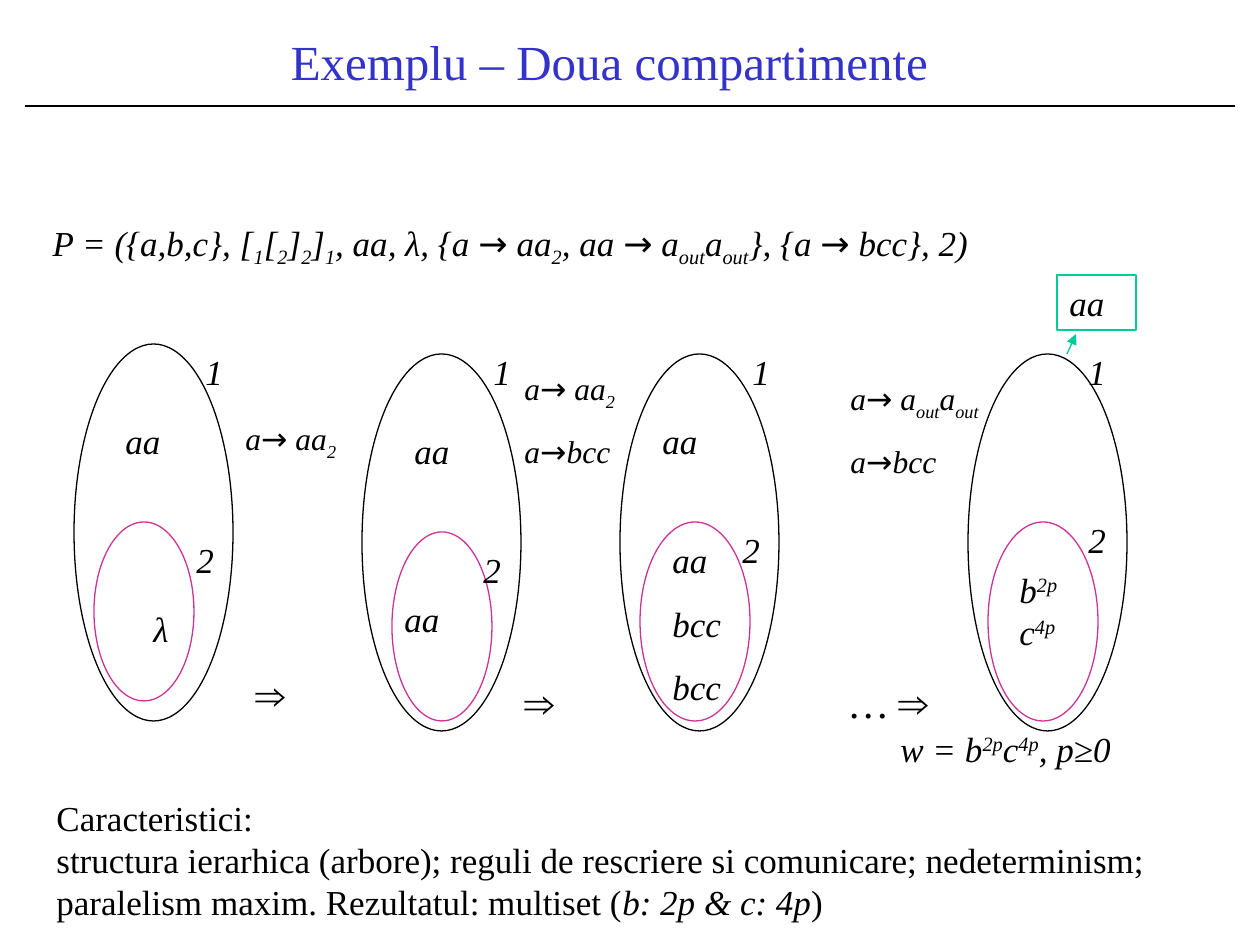
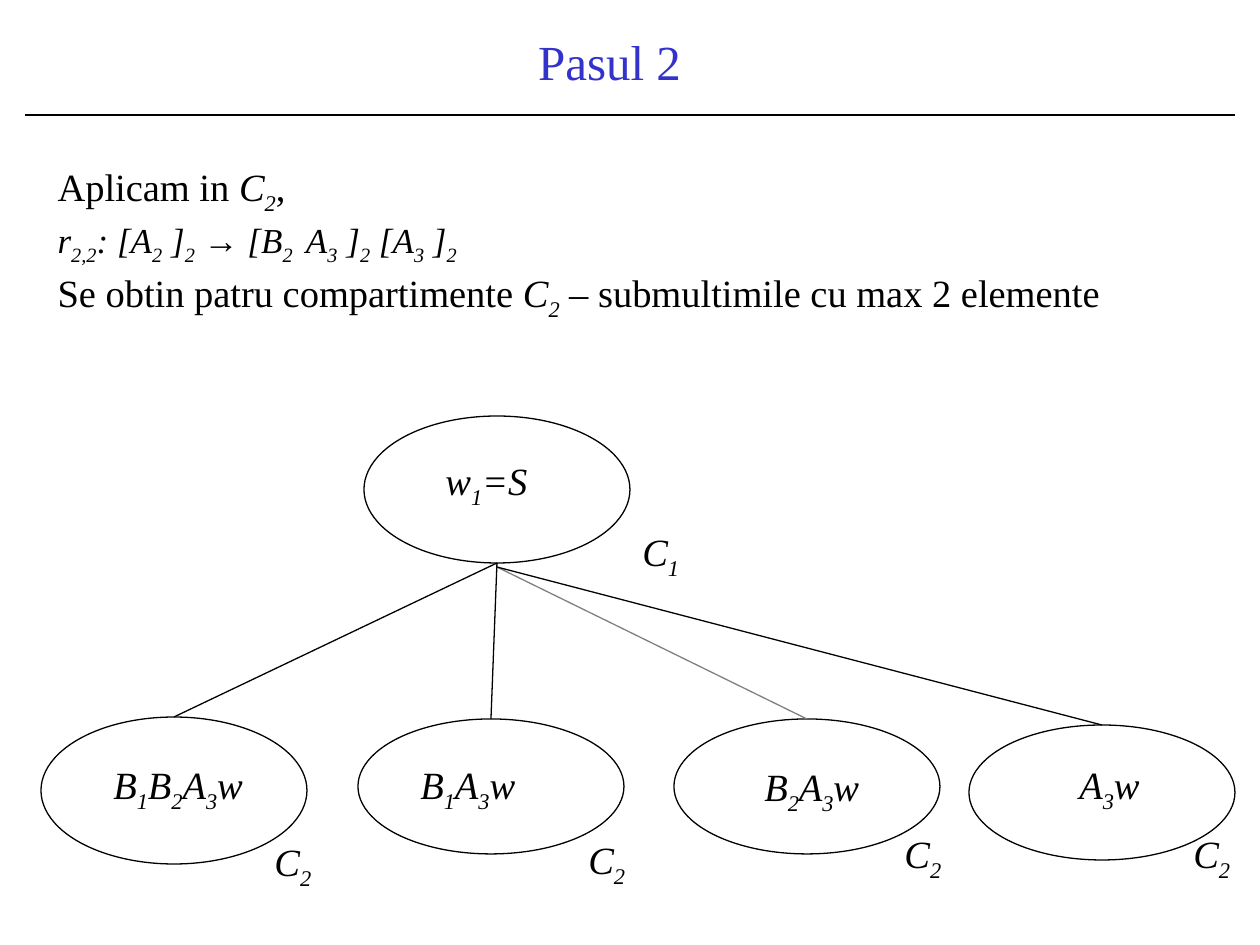
import itertools

import pptx
import pptx.dml.color
import pptx.enum.shapes
import pptx.enum.text
import pptx.oxml
import pptx.oxml.ns
import pptx.util

# ---- Shared style ----
PX = 914400 / 126
FONT = "Times New Roman"
COLORS = {"title": "3333CC", "ink": "000000", "paper": "FFFFFF",
          "inner": "CC3399", "output": "00CC99", "faint": "808080"}
TITLE_BOX = (74, 0, 1071, 121)
RULE_ENDS = (25, 1235)
LINE_WIDTH = 0.75
# Text marks: *italic switch*, ~subscript~, ^superscript^
BASELINES = {"~": "-25000", "^": "30000"}

# ---- Content: two compartments ----
SYSTEM_TITLE = "Exemplu – Doua compartimente"
SYSTEM_RULE_Y = 106
SYSTEM_FONTS = {"→": "Noto Sans", "⇒": "Arial"}
SYSTEM_TABLE = (40, 144, (1159, 57), (129, 72))
SYSTEM_DEFINITION = [
    ("*P = ({a,b,c}, [~1~[~2~]~2~]~1~, aa, λ, {a → aa~2~, aa → a~out~a~out~}, {a → bcc}, 2)*", 20)]
OUTER_SIZE = (159, 377)
MEMBRANES = [  # outer left and top, inner box
    ((74, 344), (94, 522, 100, 179)),
    ((362, 354), (392, 532, 100, 189)),
    ((620, 354), (640, 522, 110, 199)),
    ((968, 354), (988, 522, 110, 199)),
]
SYSTEM_LABELS = [  # box, size, paragraphs
    ((113, 413, 79, 55), 20, ["aa"]),
    ((141, 601, 53, 55), 20, ["λ"]),
    ((193, 344, 49, 55), 20, ["1"]),
    ((184, 532, 49, 55), 20, ["2"]),
    ((481, 344, 49, 55), 20, ["1"]),
    ((740, 344, 49, 55), 20, ["1"]),
    ((471, 542, 49, 55), 20, ["2"]),
    ((402, 423, 79, 55), 20, ["aa"]),
    ((392, 591, 79, 55), 20, ["aa"]),
    ((233, 413, 169, 55), 18, ["a→ aa~2~"]),
    ((243, 662, 100, 63), 24, ["⇒"]),
    ((730, 522, 49, 55), 20, ["2"]),
    ((650, 413, 79, 55), 20, ["aa"]),
    ((660, 532, 79, 183), 20, ["aa", "bcc", "bcc"]),
    ((512, 670, 100, 63), 24, ["⇒"]),
    ((512, 363, 169, 113), 18, ["a→ aa~2~", "a→bcc"]),
    ((1076, 344, 49, 55), 20, ["1"]),
    ((1076, 512, 49, 55), 20, ["2"]),
    ((1007, 562, 69, 97), 20, ["b^2p^c^4p^"]),
    ((838, 373, 169, 113), 18, ["a→ a~out~a~out~", "a→bcc"]),
    ((838, 670, 127, 63), 24, ["… ⇒"]),
    ((888, 721, 287, 55), 20, ["w = b^2p^c^4p^, p≥0"]),
]
OUTPUT_BOX = (1057, 275, 79, 55)
OUTPUT_ARROW = ((1067, 354), (1076, 334))
FEATURES_BOX = (44, 790, 1150, 140)
FEATURES = [
    "Caracteristici:",
    "structura ierarhica (arbore); reguli de rescriere si comunicare; nedeterminism; "
    "paralelism maxim. Rezultatul: multiset (*b: 2p & c: 4p*)",
]

# ---- Content: step 2 ----
STEP_TITLE = "Pasul 2"
STEP_RULE_Y = 115
STEP_TABLE = (45, 139, (1159, 57), (187, 91))
STEP_LINES = [
    ("Aplicam in* C~2~*,", 22),
    ("*r~2,2~: [A~2~ ]~2~ → [B~2 ~ A~3~ ]~2~ [A~3~ ]~2~*", 20),
    ("Se obtin patru compartimente *C~2~* – submultimile cu max 2 elemente", 22),
]
ROOT = (364, 416, 266, 147)
LEAVES = [  # ellipse, line start, line colour
    ((41, 717, 266, 147), (497, 563), "ink"),
    ((358, 719, 266, 135), (497, 563), "ink"),
    ((674, 719, 266, 135), (497, 567), "faint"),
    ((969, 725, 266, 135), (497, 567), "ink"),
]
STEP_LABELS = [
    ((433, 451, 160, 106), 22, ["w~1~=S"]),
    ((630, 522, 77, 59), 22, ["C~1~"]),
    ((101, 755, 223, 59), 22, ["B~1~B~2~A~3~w"]),
    ((408, 755, 179, 59), 22, ["B~1~A~3~w"]),
    ((752, 757, 179, 59), 22, ["B~2~A~3~w"]),
    ((1067, 755, 179, 59), 22, ["A~3~w"]),
    ((262, 832, 77, 59), 22, ["C~2~"]),
    ((576, 830, 77, 59), 22, ["C~2~"]),
    ((892, 824, 77, 59), 22, ["C~2~"]),
    ((1181, 824, 77, 59), 22, ["C~2~"]),
]


# ---- Helpers ----
def px(*lengths):
    return [pptx.util.Emu(round(length * PX)) for length in lengths]


def color(name):
    return pptx.dml.color.RGBColor.from_string(COLORS[name])


def write(paragraph, text, size, italic=False, symbol_fonts=None, ink="ink"):
    """Fill a paragraph with marked text."""
    paragraph.font.name = FONT
    paragraph.font.size = pptx.util.Pt(size)
    paragraph.font.italic = italic
    paragraph.font.color.rgb = color(ink)
    slanted, baseline, styled = italic, None, []
    for letter in text:
        if letter == "*":
            slanted = not slanted
        elif letter in BASELINES:
            baseline = None if baseline else BASELINES[letter]
        else:
            styled.append((letter, slanted, baseline, (symbol_fonts or {}).get(letter)))
    for style, letters in itertools.groupby(styled, key=lambda item: item[1:]):
        run = paragraph.add_run()
        run.text = "".join(item[0] for item in letters)
        slanted, baseline, font_name = style
        if slanted != italic:
            run.font.italic = slanted
        if baseline:
            run._r.get_or_add_rPr().set("baseline", baseline)
        if font_name:
            run.font.name = font_name


def write_box(shape, size, texts, italic=True, symbol_fonts=None, gap=0.625):
    """Write wrapped paragraphs, spaced by a share of the text size."""
    frame = shape.text_frame
    frame.word_wrap = True
    frame.auto_size = pptx.enum.text.MSO_AUTO_SIZE.SHAPE_TO_FIT_TEXT
    frame.vertical_anchor = pptx.enum.text.MSO_ANCHOR.TOP
    for index, text in enumerate(texts):
        paragraph = frame.add_paragraph() if index else frame.paragraphs[0]
        paragraph.alignment = pptx.enum.text.PP_ALIGN.LEFT
        if index and gap:
            paragraph.space_before = pptx.util.Pt(size * gap)
        write(paragraph, text, size, italic, symbol_fonts)


def add_labels(slide, labels, symbol_fonts=None):
    for box, size, texts in labels:
        write_box(slide.shapes.add_textbox(*px(*box)), size, texts, symbol_fonts=symbol_fonts)


def add_outline(slide, kind, box, line="ink", fill=None):
    shape = slide.shapes.add_shape(kind, *px(*box))
    shape.shadow.inherit = False
    shape.line.color.rgb = color(line)
    shape.line.width = pptx.util.Pt(LINE_WIDTH)
    if fill:
        shape.fill.solid()
        shape.fill.fore_color.rgb = color(fill)
    else:
        shape.fill.background()
    return shape


def add_line(slide, start, end, line="ink", arrow=False):
    connector = slide.shapes.add_connector(
        pptx.enum.shapes.MSO_CONNECTOR.STRAIGHT, *px(*start, *end))
    connector.line.color.rgb = color(line)
    connector.line.width = pptx.util.Pt(LINE_WIDTH)
    if arrow:
        head = pptx.oxml.parse_xml(
            f'<a:tailEnd {pptx.oxml.ns.nsdecls("a")} type="triangle"/>')
        connector.line._get_or_add_ln().append(head)
    connector._element.spPr.append(
        pptx.oxml.parse_xml(f'<a:effectLst {pptx.oxml.ns.nsdecls("a")}/>'))
    return connector


def add_text_table(slide, layout, lines, symbol_fonts=None):
    """Add a plain grid whose first cell holds the text."""
    left, top, widths, heights = layout
    table = slide.shapes.add_table(
        len(heights), len(widths), *px(left, top, sum(widths), sum(heights))).table
    table.first_row = table.horz_banding = False
    for column, width in zip(table.columns, px(*widths)):
        column.width = width
    for row, height in zip(table.rows, px(*heights)):
        row.height = height
    for cell in table.iter_cells():
        cell.fill.background()
    cell = table.cell(0, 0)
    cell.vertical_anchor = pptx.enum.text.MSO_ANCHOR.BOTTOM
    for index, (text, size) in enumerate(lines):
        frame = cell.text_frame
        paragraph = frame.add_paragraph() if index else frame.paragraphs[0]
        paragraph.line_spacing = 0.95
        if index:
            paragraph.space_before = pptx.util.Pt(5)
        write(paragraph, text, size, symbol_fonts=symbol_fonts)


def start_slide(presentation, title, rule_y):
    slide = presentation.slides.add_slide(presentation.slide_layouts[5])
    shape = slide.shapes.title
    shape.left, shape.top, shape.width, shape.height = px(*TITLE_BOX)
    shape.text_frame.vertical_anchor = pptx.enum.text.MSO_ANCHOR.MIDDLE
    paragraph = shape.text_frame.paragraphs[0]
    paragraph.alignment = pptx.enum.text.PP_ALIGN.CENTER
    write(paragraph, title, 28, ink="title")
    add_line(slide, (RULE_ENDS[0], rule_y), (RULE_ENDS[1], rule_y))
    return slide


# ---- Slides ----
def build_system(presentation):
    oval = pptx.enum.shapes.MSO_SHAPE.OVAL
    slide = start_slide(presentation, SYSTEM_TITLE, SYSTEM_RULE_Y)
    add_text_table(slide, SYSTEM_TABLE, SYSTEM_DEFINITION, SYSTEM_FONTS)
    for corner, inner in MEMBRANES:
        add_outline(slide, oval, corner + OUTER_SIZE, fill="paper")
        add_outline(slide, oval, inner, line="inner", fill="paper")
    add_labels(slide, SYSTEM_LABELS, SYSTEM_FONTS)
    output = add_outline(slide, pptx.enum.shapes.MSO_SHAPE.RECTANGLE, OUTPUT_BOX, line="output")
    write_box(output, 20, ["aa"])
    add_line(slide, *OUTPUT_ARROW, line="output", arrow=True)
    features = slide.shapes.add_textbox(*px(*FEATURES_BOX))
    write_box(features, 20, FEATURES, italic=False, gap=0)


def build_step(presentation):
    oval = pptx.enum.shapes.MSO_SHAPE.OVAL
    slide = start_slide(presentation, STEP_TITLE, STEP_RULE_Y)
    add_text_table(slide, STEP_TABLE, STEP_LINES)
    add_outline(slide, oval, ROOT)
    for box, start, line in LEAVES:
        leaf = add_outline(slide, oval, box)
        add_line(slide, start, box[:2], line).end_connect(leaf, 0)
    add_labels(slide, STEP_LABELS)


def main():
    presentation = pptx.Presentation()
    presentation.slide_width, presentation.slide_height = px(1260, 945)
    build_system(presentation)
    build_step(presentation)
    presentation.save("out.pptx")


if __name__ == "__main__":
    main()
